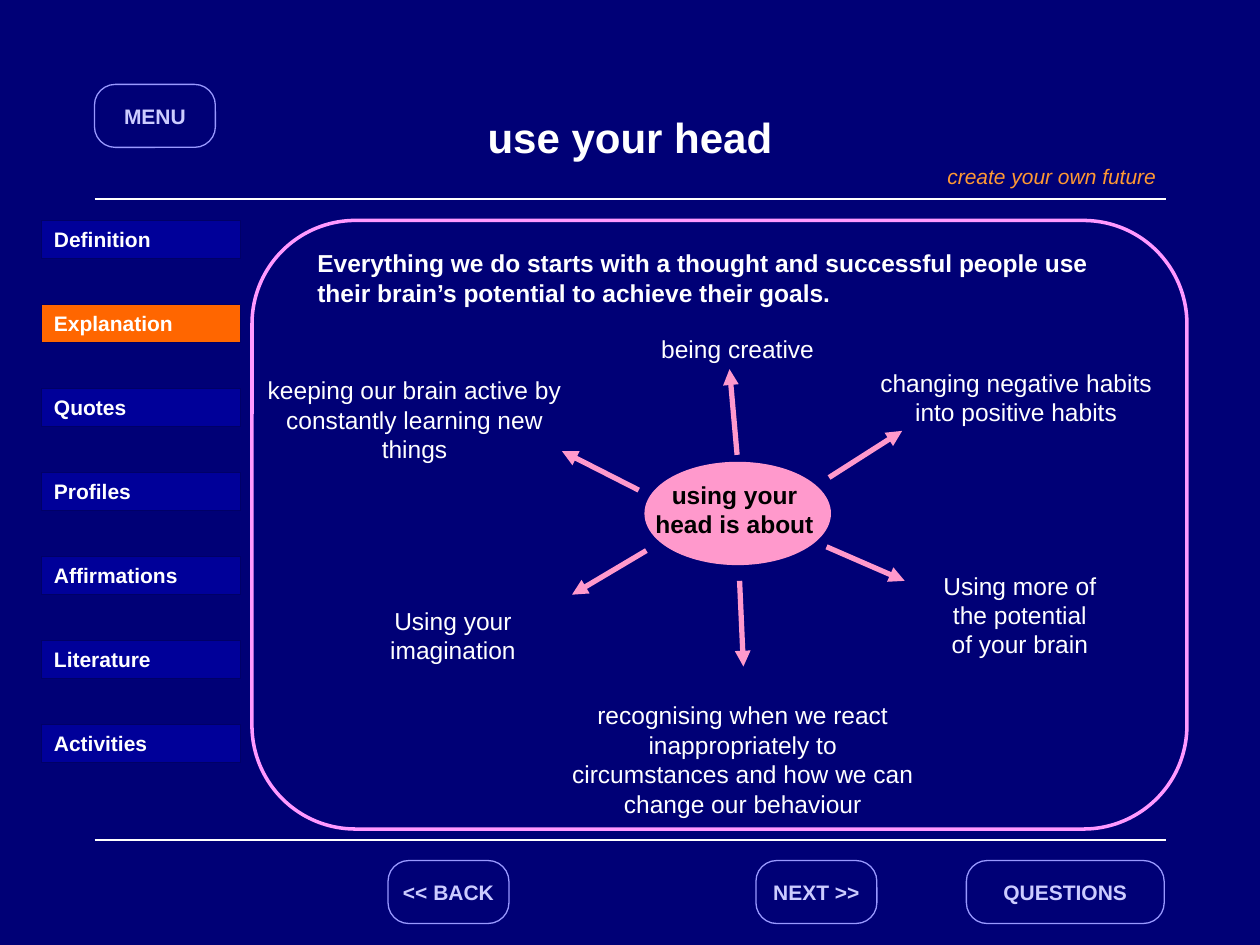
from lxml import etree
from pptx import Presentation
from pptx.dml.color import RGBColor
from pptx.enum import shapes, text
from pptx.oxml import ns
from pptx.util import Inches, Pt

C = {
    "navy": "000076", "white": "FFFFFF", "black": "000000", "rule": "FFFFFF",
    "button_line": "9999FF", "button_text": "CCCCFF", "tagline": "FF9933",
    "nav": "000099", "nav_line": "000066", "active": "FF6600",
    "pink": "FF99CC", "frame": "FF99FF",
}
C = {name: RGBColor.from_string(value) for name, value in C.items()}
MSO = shapes.MSO_SHAPE
LEFT, CENTER = text.PP_ALIGN.LEFT, text.PP_ALIGN.CENTER
TOP, MIDDLE = text.MSO_ANCHOR.TOP, text.MSO_ANCHOR.MIDDLE

prs = Presentation()
prs.slide_width, prs.slide_height = Inches(10), Inches(7.5)
s = prs.slides.add_slide(prs.slide_layouts[6])
s.background.fill.solid()
s.background.fill.fore_color.rgb = C["navy"]


def add_box(box, words="", size=14, color="white", bold=False, italic=False, align=LEFT,
            anchor=TOP, wrap=True, kind=None, fill=None, line=None, width=0.75, adj=None):
    """Add a text box, or a preset shape when kind is given."""
    box = [Inches(v) for v in box]
    if kind is None:
        sp = s.shapes.add_textbox(*box)
    else:
        sp = s.shapes.add_shape(kind, *box)
        sp.shadow.inherit = False
        if adj:
            sp.adjustments[0] = adj
        if fill:
            sp.fill.solid()
            sp.fill.fore_color.rgb = C[fill]
        else:
            sp.fill.background()
        sp.line.color.rgb = C[line]
        sp.line.width = Pt(width)
    if words:
        tf = sp.text_frame
        tf.word_wrap, tf.vertical_anchor = wrap, anchor
        p = tf.paragraphs[0]
        p.text, p.alignment = words, align
        p.font.name, p.font.size = "Arial", Pt(size)
        p.font.bold, p.font.italic = bold, italic
        p.font.color.rgb = C[color]


def add_line(x1, y1, x2, y2, color, width, arrow=False):
    ln = s.shapes.add_connector(shapes.MSO_CONNECTOR.STRAIGHT,
                                Inches(x1), Inches(y1), Inches(x2), Inches(y2))
    ln.line.color.rgb = C[color]
    ln.line.width = Pt(width)
    if arrow:
        etree.SubElement(ln.line._get_or_add_ln(), ns.qn("a:tailEnd"), type="triangle")
    etree.SubElement(ln._element.spPr, ns.qn("a:effectLst"))


# Header and footer rules
for y in (1.58, 6.67):
    add_line(0.75, y, 9.25, y, "rule", 1.25)

# Title, tagline and introduction
add_box((0.75, 0.67, 8.5, 0.83), "use your head", 24, bold=True, align=CENTER, anchor=MIDDLE)
add_box((7.42, 1.25, 1.92, 0.3), "create your own future", 12, "tagline", italic=True)
add_box((2.42, 1.92, 6.67, 0.58),
        "Everything we do starts with a thought and successful people use "
        "their brain’s potential to achieve their goals.", bold=True)

# Navigation buttons
for label, x, y, w in [("MENU", 0.75, 0.67, 0.96), ("<< BACK", 3.08, 6.83, 0.96),
                       ("NEXT >>", 6, 6.83, 0.96), ("QUESTIONS", 7.67, 6.83, 1.57)]:
    add_box((x, y, w, 0.5), label, 12, "button_text", bold=True, align=CENTER, anchor=MIDDLE,
            wrap=False, kind=MSO.ROUNDED_RECTANGLE, fill="navy", line="button_line", adj=0.33)

# Section tabs down the left side
sections = ["Definition", "Explanation", "Quotes", "Profiles",
            "Affirmations", "Literature", "Activities"]
for i, label in enumerate(sections):
    add_box((0.33, 1.75 + i * 2 / 3, 1.58, 0.3), label, 12, bold=True, kind=MSO.RECTANGLE,
            fill="active" if label == "Explanation" else "nav", line="nav_line")

# Central idea
add_box((5.12, 3.67, 1.47, 0.81), kind=MSO.OVAL, fill="pink", line="pink")
add_box((5.08, 3.76, 1.5, 0.57), "using your head is about", color="black", bold=True,
        align=CENTER)

# Surrounding ideas, each with its arrow
ideas = [
    ("being creative", (5.12, 2.6, 1.47, 0.34), (5.85, 3.61, 5.79, 2.93)),
    ("changing negative habits into positive habits",
     (6.8, 2.87, 2.53, 0.57), (6.58, 3.79, 7.16, 3.42)),
    ("Using more of the potential of your brain",
     (7.36, 4.48, 1.47, 0.8), (6.56, 4.34, 7.18, 4.61)),
    ("recognising when we react inappropriately to circumstances "
     "and how we can change our behaviour",
     (4.42, 5.51, 2.95, 1.04), (5.87, 4.61, 5.9, 5.29)),
    ("Using your imagination", (2.97, 4.76, 1.25, 0.57), (5.13, 4.37, 4.54, 4.72)),
    ("keeping our brain active by constantly learning new things",
     (2, 2.93, 2.58, 0.8), (5.07, 3.89, 4.46, 3.58)),
]
for words, box, arrow in ideas:
    add_line(*arrow, "pink", 3, arrow=True)
    add_box(box, words, align=CENTER)

# Frame around the diagram
add_box((2, 1.75, 7.42, 4.83), kind=MSO.ROUNDED_RECTANGLE, line="frame", width=2, adj=0.17)

prs.save("out.pptx")
